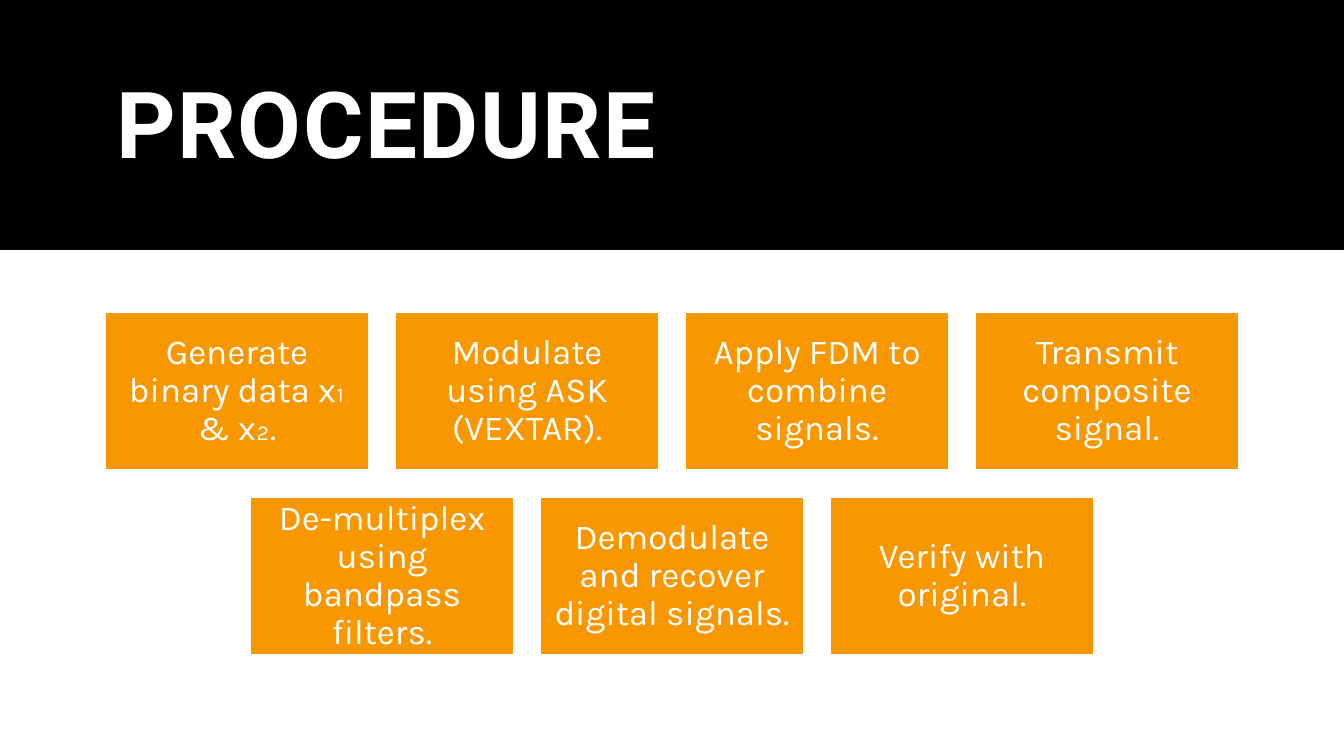
from pptx import Presentation
from pptx import util as u
from pptx.dml.color import RGBColor
from pptx.enum import shapes, text

EMU_PER_PX = 914400 / 100.8
COLOURS = {"band": "000000", "step": "F99700", "light": "FFFFFF"}
STEPS = [
    "Generate binary data x₁ & x₂.",
    "Modulate using ASK (VEXTAR).",
    "Apply FDM to combine signals.",
    "Transmit composite signal.",
    "De-multiplex using bandpass filters.",
    "Demodulate and recover digital signals.",
    "Verify with original.",
]
STEPS_PER_ROW = 4
STEP_WIDTH, STEP_HEIGHT, STEP_GAP = 263, 158, 27


def px(length):
    return u.Emu(round(length * EMU_PER_PX))


def colour(name):
    return RGBColor.from_string(COLOURS[name])


def add_rectangle(slide, left, top, width, height, fill):
    shape = slide.shapes.add_shape(
        shapes.MSO_SHAPE.RECTANGLE, px(left), px(top), px(width), px(height))
    shape.shadow.inherit = False
    shape.fill.solid()
    shape.fill.fore_color.rgb = colour(fill)
    shape.line.fill.background()
    return shape


def set_text(shape, words, font_name, size, alignment, bold=False):
    frame = shape.text_frame
    frame.text = words
    frame.word_wrap = True
    frame.auto_size = text.MSO_AUTO_SIZE.NONE
    frame.vertical_anchor = text.MSO_ANCHOR.MIDDLE
    paragraph = frame.paragraphs[0]
    paragraph.alignment = alignment
    paragraph.line_spacing = 0.9
    run = paragraph.runs[0]
    run.font.name = font_name
    run.font.size = u.Pt(size)
    run.font.bold = bold
    run.font.color.rgb = colour("light")
    return run


def add_header(slide, left, top, width, height):
    band = add_rectangle(slide, left, top, width, height, "band")
    title = slide.shapes.title
    title._element.addprevious(band._element)
    title.left, title.top = px(left + 106), px(top + 35)
    title.width, title.height = px(width - 212), px(height - 62)
    run = set_text(title, "PROCEDURE", "Roboto", 66, text.PP_ALIGN.LEFT, True)
    run.font._element.set("spc", "120")


def add_step(slide, left, top, words):
    step = add_rectangle(slide, left, top, STEP_WIDTH, STEP_HEIGHT, "step")
    step.line.color.rgb = colour("light")
    step.line.width = u.Pt(1)
    frame = step.text_frame
    frame.margin_left = frame.margin_right = px(10)
    frame.margin_top = frame.margin_bottom = px(10)
    set_text(step, words, "Karla", 25, text.PP_ALIGN.CENTER)


def add_steps(slide, left, top, width):
    for start in range(0, len(STEPS), STEPS_PER_ROW):
        row = STEPS[start:start + STEPS_PER_ROW]
        row_width = len(row) * (STEP_WIDTH + STEP_GAP) - STEP_GAP
        row_left = left + (width - row_width) / 2
        row_top = top + start // STEPS_PER_ROW * (STEP_HEIGHT + STEP_GAP)
        for column, words in enumerate(row):
            add_step(slide, row_left + column * (STEP_WIDTH + STEP_GAP), row_top, words)


def main():
    presentation = Presentation()
    presentation.slide_width, presentation.slide_height = px(1344), px(756)
    slide = presentation.slides.add_slide(presentation.slide_layouts[5])
    add_header(slide, 0, 0, 1344, 250)
    add_steps(slide, 106, 312, 1132)
    presentation.save("out.pptx")


if __name__ == "__main__":
    main()
